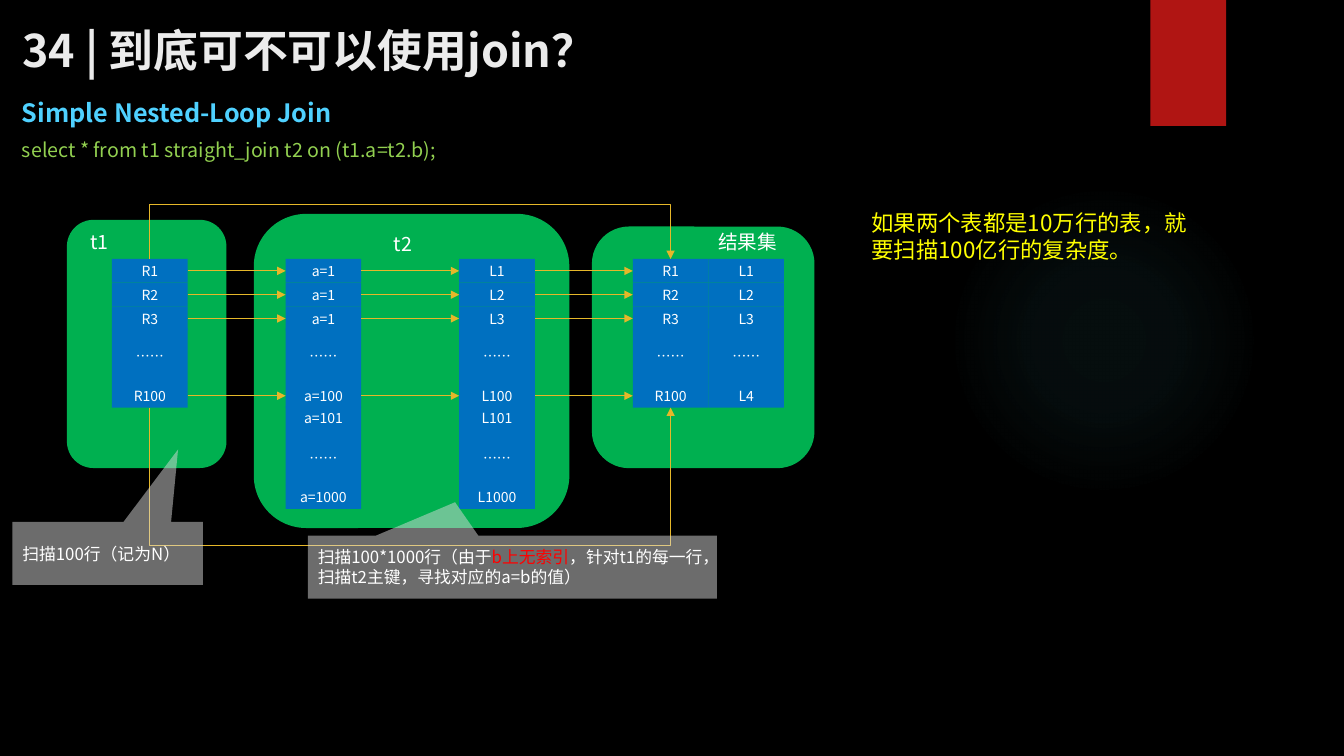
"""Build the slide that explains the Simple Nested-Loop Join."""
from lxml import etree
from pptx import Presentation
from pptx.dml.color import RGBColor
from pptx.enum.shapes import MSO_CONNECTOR as Connector, MSO_SHAPE as Preset
from pptx.enum.text import MSO_ANCHOR as Anchor, PP_ALIGN as Align
from pptx.oxml.ns import qn
from pptx.util import Pt

FONT = "Noto Sans CJK SC"
WHITE, GREEN, BLUE, GOLD, GREY = "FFFFFF", "00B050", "0070C0", "E6B729", "D9D9D9"

TITLE = "34 | 到底可不可以使用join？"
TEXTS = [
    ("Simple Nested-Loop Join", (8.6, 66, 245, 29), 18, "4FD1FF", True),
    ("select * from t1 straight_join t2 on (t1.a=t2.b);", (8.6, 95, 934, 24), 14, "92D050", False),
    ("t1", (57.5, 160.8, 40, 24), 14, WHITE, False),
    ("t2", (274.2, 161.8, 40, 24), 14, WHITE, False),
    ("结果集", (506, 160.8, 133, 24), 14, WHITE, False),
    ("如果两个表都是10万行的表，就要扫描100亿行的复杂度。", (615.5, 146, 245.5, 46), 16, "FFFF00", False),
]
PANELS = [(422.8, 161.8, 159, 172.6), (181.3, 152.8, 225.4, 224.4), (47.8, 157, 114, 177.3)]
COLUMNS = [
    (80, ["R1", "R2", "R3", "……", "R100"]),
    (204, ["a=1", "a=1", "a=1", "……", "a=100", "a=101", "……", "a=1000"]),
    (328, ["L1", "L2", "L3", "……", "L100", "L101", "……", "L1000"]),
    (452, ["R1", "R2", "R3", "……", "R100"]),
    (506, ["L1", "L2", "L3", "……", "L4"]),
]
ROW_TOPS = [185, 202, 219, 234.7, 274.2, 290.3, 307.2, 346.6]
CELL_WIDTH, CELL_HEIGHT, GAP_HEIGHT = 54, 17, 39.5
LINKED_ROWS = [0, 1, 2, 4]
DETOURS = [(291.2, 389.5), (185, 146)]
CALLOUTS = [
    ([("扫描100行（记为N）", WHITE)], (8.9, 372.8, 136, 45), (0.37, -1.65)),
    ([("扫描100*1000行（由于", WHITE), ("b上无索引", "FF0000"),
      ("，针对t1的每一行，扫描t2主键，寻找对应的a=b的值）", WHITE)],
     (219.9, 382.6, 292.2, 45), (-0.14, -1.03)),
]
GLOW_STOPS = [(0, 7), (36, 6), (69, 0)]


def rgb(value):
    return RGBColor.from_string(value)


def box(bounds):
    return [Pt(length) for length in bounds]


def write(shape, runs, size, bold=False, align=Align.LEFT, anchor=Anchor.MIDDLE):
    frame = shape.text_frame
    frame.word_wrap = True
    frame.vertical_anchor = anchor
    paragraph = frame.paragraphs[0]
    paragraph.alignment = align
    font = paragraph.font
    font.name, font.size, font.bold = FONT, Pt(size), bold
    font.color.rgb = rgb(runs[0][1])
    for text, color in runs:
        run = paragraph.add_run()
        run.text = text
        run.font.color.rgb = rgb(color)
    for latin in shape.element.iter(qn("a:latin")):
        east_asian = etree.Element(qn("a:ea"), typeface=FONT)
        latin.addnext(east_asian)


def add_block(slide, preset, bounds, fill):
    shape = slide.shapes.add_shape(preset, *box(bounds))
    shape.shadow.inherit = False
    shape.fill.solid()
    shape.fill.fore_color.rgb = rgb(fill)
    shape.line.fill.background()
    return shape


def set_alpha(color, percent):
    etree.SubElement(color, qn("a:alpha"), val=str(percent * 1000))


def add_glow(slide, bounds):
    shape = add_block(slide, Preset.OVAL, bounds, "50B9C1")
    solid = shape.element.spPr.find(qn("a:solidFill"))
    gradient = etree.Element(qn("a:gradFill"))
    stops = etree.SubElement(gradient, qn("a:gsLst"))
    for position, alpha in GLOW_STOPS:
        stop = etree.SubElement(stops, qn("a:gs"), pos=str(position * 1000))
        set_alpha(etree.SubElement(stop, qn("a:srgbClr"), val="50B9C1"), alpha)
    circle = etree.SubElement(gradient, qn("a:path"), path="circle")
    etree.SubElement(circle, qn("a:fillToRect"), l="50000", t="50000", r="50000", b="50000")
    solid.getparent().replace(solid, gradient)


def style_arrow(arrow):
    arrow.line.color.rgb = rgb(GOLD)
    arrow.line.width = Pt(0.75)
    properties = arrow.element.spPr
    etree.SubElement(properties.find(qn("a:ln")), qn("a:tailEnd"), type="triangle")
    if properties.find(qn("a:effectLst")) is None:
        etree.SubElement(properties, qn("a:effectLst"))


def add_cells(slide):
    for left, labels in COLUMNS:
        for label, top in zip(labels, ROW_TOPS):
            height = GAP_HEIGHT if label == "……" else CELL_HEIGHT
            cell = add_block(slide, Preset.RECTANGLE, (left, top, CELL_WIDTH, height), BLUE)
            write(cell, [(label, WHITE)], 10, align=Align.CENTER)


def add_arrows(slide):
    lefts = [left for left, _ in COLUMNS[:4]]
    for left, target in zip(lefts, lefts[1:]):
        for row in LINKED_ROWS:
            middle = ROW_TOPS[row] + CELL_HEIGHT / 2
            ends = box((left + CELL_WIDTH, middle, target, middle))
            style_arrow(slide.shapes.add_connector(Connector.STRAIGHT, *ends))
    start, end = lefts[0] + CELL_WIDTH / 2, lefts[3] + CELL_WIDTH / 2
    for edge, turn in DETOURS:
        builder = slide.shapes.build_freeform(Pt(start), Pt(edge))
        corners = [(start, turn), (end, turn), (end, edge)]
        builder.add_line_segments([box(corner) for corner in corners], close=False)
        detour = builder.convert_to_shape()
        detour.shadow.inherit = False
        detour.fill.background()
        style_arrow(detour)


def add_callouts(slide):
    for runs, bounds, tip in CALLOUTS:
        callout = add_block(slide, Preset.RECTANGULAR_CALLOUT, bounds, GREY)
        callout.adjustments[0], callout.adjustments[1] = tip
        set_alpha(callout.element.spPr.find(qn("a:solidFill"))[0], 50)
        write(callout, runs, 12)


def main():
    presentation = Presentation()
    presentation.slide_width, presentation.slide_height = Pt(960), Pt(540)
    slide = presentation.slides.add_slide(presentation.slide_layouts[5])
    slide.background.fill.solid()
    slide.background.fill.fore_color.rgb = rgb("000000")
    add_glow(slide, (677.5, 131.8, 221.8, 221.8))
    add_block(slide, Preset.RECTANGLE, (821.8, 0, 54, 90), "B01513")
    title = slide.shapes.title
    title.left, title.top, title.width, title.height = box((8.6, 12, 878, 47.5))
    write(title, [(TITLE, "EBEBEB")], 32, bold=True)
    for panel in PANELS:
        add_block(slide, Preset.ROUNDED_RECTANGLE, panel, GREEN)
    add_cells(slide)
    add_arrows(slide)
    add_callouts(slide)
    for text, bounds, size, color, bold in TEXTS:
        label = slide.shapes.add_textbox(*box(bounds))
        write(label, [(text, color)], size, bold, anchor=Anchor.TOP)
    presentation.save("out.pptx")


if __name__ == "__main__":
    main()
